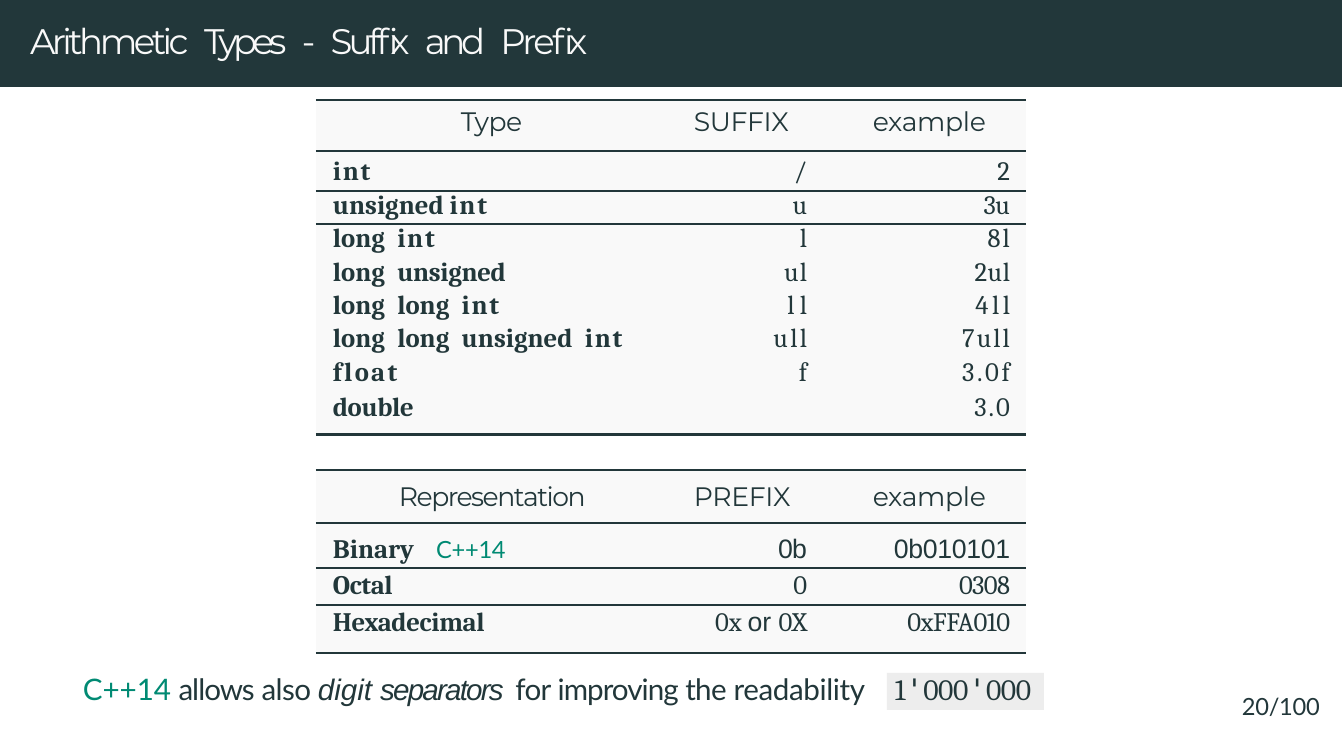
"""Build the slide on suffixes and prefixes of C++ arithmetic types."""
import pptx
import pptx.dml.color
import pptx.enum.shapes
import pptx.enum.text
import pptx.oxml.ns
import pptx.util
from lxml import etree

PX = 914400 / 213
ALIGN = pptx.enum.text.PP_ALIGN
THEME = {
    "dark": "22373A",
    "panel": "F9F9F9",
    "code": "EDEDED",
    "outer_rule": 1,
    "inner_rule": 0.75,
    "table_style": "{2D5ABB26-0587-4C30-8999-92F81FD0307C}",
    "styles": {
        "title": ("Montserrat", 12, "F9F9F9", False, False),
        "header": ("Montserrat", 9, "22373A", False, False),
        "name": ("Cambria", 9, "22373A", True, False),
        "value": ("Cambria", 9, "22373A", False, False),
        "plain": ("Arial", 9, "22373A", False, False),
        "standard": ("Lato", 8, "008A73", False, False),
        "accent": ("Lato", 10, "008A73", False, False),
        "body": ("Lato", 10, "22373A", False, False),
        "term": ("Arial", 10, "22373A", False, True),
        "digits": ("Cambria", 10, "22373A", False, False),
        "quote": ("DejaVu Sans Mono", 10, "22373A", False, False),
        "page": ("Lato", 8, "22373A", False, False),
    },
}

# Each run is text, style, letter spacing and, where a wide space follows, its extra width.
TITLE = [("Arithmetic", "title", -1.2, 2), ("Types", "title", -1.6, 2), ("-", "title", 0, 2),
         ("Suffix", "title", -1.3, 2), ("and", "title", -1.5, 2), ("Prefix", "title", -0.9)]
LONG = ("long", "name", 0, 2.2)
INT = ("int", "name", 0.6)
SUFFIX_ROWS = [
    ([("Type", "header", -0.2)], [("SUFFIX", "header", -0.1)], [("example", "header", -0.1)]),
    ([INT], [("/", "value", 0)], [("2", "value", 0)]),
    ([("unsigned ", "name", 0), INT], [("u", "value", 0)], [("3u", "value", -0.2)]),
    ([LONG, INT], [("l", "value", 0)], [("8l", "value", 0.8)]),
    ([LONG, ("unsigned", "name", -0.1)], [("ul", "value", 0.4)], [("2ul", "value", 0.2)]),
    ([LONG, LONG, INT], [("ll", "value", 1.8)], [("4ll", "value", 1.2)]),
    ([LONG, LONG, ("unsigned", "name", 0, 2.2), INT],
     [("ull", "value", 0.8)], [("7ull", "value", 0.7)]),
    ([("float", "name", 0.8)], [("f", "value", 0)], [("3.0f", "value", 0.9)]),
    ([("double", "name", -0.1)], [], [("3.0", "value", 0.7)]),
]
PREFIX_ROWS = [
    ([("Representation", "header", -0.5)], [("PREFIX", "header", -0.1)],
     [("example", "header", -0.1)]),
    ([("Binary", "name", 0, 5.5), ("C++14", "standard", -0.1)],
     [("0b", "plain", -0.2)], [("0b010101", "plain", -0.1)]),
    ([("Octal", "name", -0.1)], [("0", "value", 0)], [("0308", "value", -0.2)]),
    ([("Hexadecimal", "name", -0.1)],
     [("0x ", "value", 0), ("or ", "plain", 0), ("0X", "value", -0.2)],
     [("0xFFA010", "value", -0.1)]),
]
# Each row format is height, top margin, space before and exact line spacing.
SUFFIX_FORMATS = [(51, 6, 2.5, None), (40, 6, 2.4, 10.4),
                  *[(height, 0, 0, 10.3) for height in (33, 34, 33, 33, 34, 34)],
                  (43, 0, 0, 10.7)]
PREFIX_FORMATS = [(53, 11, 3.4, None), (45, 11, 3.2, None), (37, 2, 0.6, 10.6), (48, 2, 1.1, None)]
TABLES = [
    (100, SUFFIX_ROWS, SUFFIX_FORMATS, (0, 27, 34), ALIGN.CENTER),
    (470, PREFIX_ROWS, PREFIX_FORMATS, (83, 27, 34), ALIGN.LEFT),
]
TABLE_LEFT = 316
COLUMNS = [351, 172, 187]
NAME_INDENT = 17
RIGHT_MARGINS = [0, 32, 16]
NOTE = [("C++14 ", "accent", 0), ("allows", "body", -0.3), (" also ", "body", -0.2),
        ("digit ", "term", 0), ("separators", "term", -0.6, 1.2), ("for ", "body", -0.2),
        ("improving ", "body", -0.3), ("the ", "body", -0.2), ("readability", "body", -0.1)]
LITERAL = [("1", "digits", -0.1), ("'", "quote", -0.1), ("000", "digits", -0.1),
           ("'", "quote", -0.1), ("000", "digits", -0.1)]
PAGE = [("20/100", "page", -0.1)]
TEXTS = [((30, 17, 594, 49), TITLE), ((83, 669, 799, 40), NOTE), ((1242, 690, 81, 34), PAGE)]
BAR = (0, 0, 1342, 87)
LITERAL_BOX = (887, 673, 157, 37)


def px(value):
    return pptx.util.Emu(round(value * PX))


def color(value):
    return pptx.dml.color.RGBColor.from_string(value)


def add_run(paragraph, text, style, spacing):
    run = paragraph.add_run()
    run.text = text
    name, size, fill, bold, italic = THEME["styles"][style]
    run.font.name, run.font.size = name, pptx.util.Pt(size)
    run.font.bold, run.font.italic = bold, italic
    run.font.color.rgb = color(fill)
    run.font._element.set("spc", str(round(spacing * 100)))


def write(frame, runs, before=0, line=None, alignment=ALIGN.LEFT):
    paragraph = frame.paragraphs[0]
    paragraph.alignment = alignment
    paragraph.space_before = pptx.util.Pt(before)
    if line:
        paragraph.line_spacing = pptx.util.Pt(line)
    for text, style, spacing, *gap in runs:
        add_run(paragraph, text, style, spacing)
        if gap:
            add_run(paragraph, " ", style, gap[0])
    if not runs:
        size = THEME["styles"]["value"][1] * 100
        etree.SubElement(paragraph._p, pptx.oxml.ns.qn("a:endParaRPr"), sz=str(size))


def set_margins(frame, left=0, top=0, right=0):
    frame.margin_left, frame.margin_top = px(left), px(top)
    frame.margin_right, frame.margin_bottom = px(right), 0


def add_text(slide, box, runs):
    frame = slide.shapes.add_textbox(*map(px, box)).text_frame
    frame.word_wrap = True
    set_margins(frame, top=2)
    write(frame, runs, before=0.9)


def add_rectangle(slide, box, fill):
    kind = pptx.enum.shapes.MSO_SHAPE.RECTANGLE
    shape = slide.shapes.add_shape(kind, *map(px, box))
    shape.shadow.inherit = False
    shape.fill.solid()
    shape.fill.fore_color.rgb = color(fill)
    shape.line.fill.background()
    return shape


def add_rule(cell, side, width):
    qn = pptx.oxml.ns.qn
    properties = cell._tc.get_or_add_tcPr()
    line = etree.SubElement(properties, qn(f"a:ln{side}"), w=str(pptx.util.Pt(width)))
    fill = etree.SubElement(line, qn("a:solidFill"))
    etree.SubElement(fill, qn("a:srgbClr"), val=THEME["dark"])


def add_table(slide, top, rows, formats, header_indents, header_alignment):
    heights = [row_format[0] for row_format in formats]
    box = (TABLE_LEFT, top, sum(COLUMNS), sum(heights))
    table = slide.shapes.add_table(len(rows), len(COLUMNS), *map(px, box)).table
    table.first_row = table.horz_banding = False
    table._tbl.tblPr.find(pptx.oxml.ns.qn("a:tableStyleId")).text = THEME["table_style"]
    for column, width in zip(table.columns, COLUMNS):
        column.width = px(width)
    outer, inner = THEME["outer_rule"], THEME["inner_rule"]
    rules = {0: outer, 1: inner, 2: inner, len(rows): outer}
    for r, (row, (height, margin, before, line)) in enumerate(zip(rows, formats)):
        table.rows[r].height = px(height)
        for c, runs in enumerate(row):
            cell = table.cell(r, c)
            for side, edge in (("T", r), ("B", r + 1)):
                if edge in rules:
                    add_rule(cell, side, rules[edge])
            cell.fill.solid()
            cell.fill.fore_color.rgb = color(THEME["panel"])
            if r == 0:
                set_margins(cell, header_indents[c], margin)
                alignment = header_alignment if c == 0 else ALIGN.LEFT
            else:
                set_margins(cell, 0 if c else NAME_INDENT, margin, RIGHT_MARGINS[c])
                alignment = ALIGN.RIGHT if c else ALIGN.LEFT
            write(cell.text_frame, runs, before, line, alignment)


def main():
    presentation = pptx.Presentation()
    presentation.slide_width, presentation.slide_height = px(1344), px(756)
    slide = presentation.slides.add_slide(presentation.slide_layouts[6])
    add_rectangle(slide, BAR, THEME["dark"])
    for table in TABLES:
        add_table(slide, *table)
    for box, runs in TEXTS:
        add_text(slide, box, runs)
    frame = add_rectangle(slide, LITERAL_BOX, THEME["code"]).text_frame
    frame.vertical_anchor = pptx.enum.text.MSO_ANCHOR.TOP
    set_margins(frame, left=8)
    write(frame, LITERAL, line=11.2)
    presentation.save("out.pptx")


if __name__ == "__main__":
    main()
